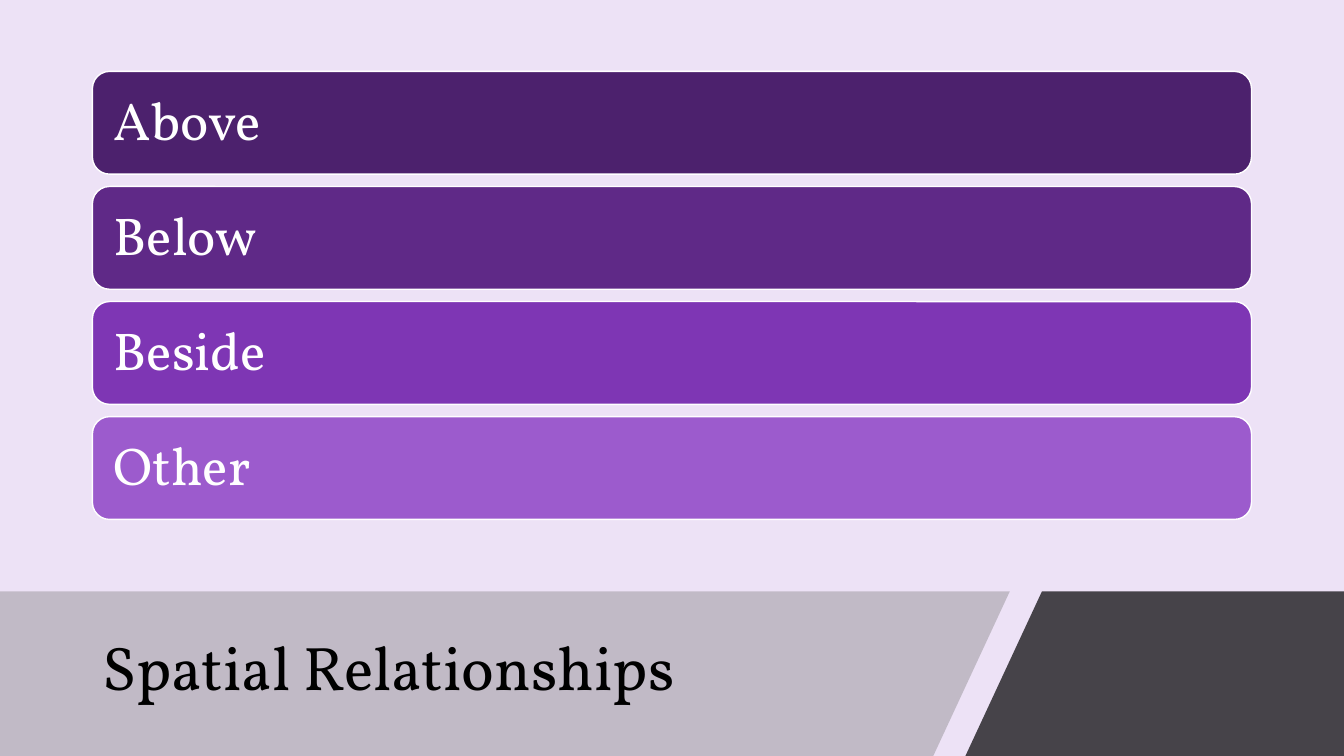
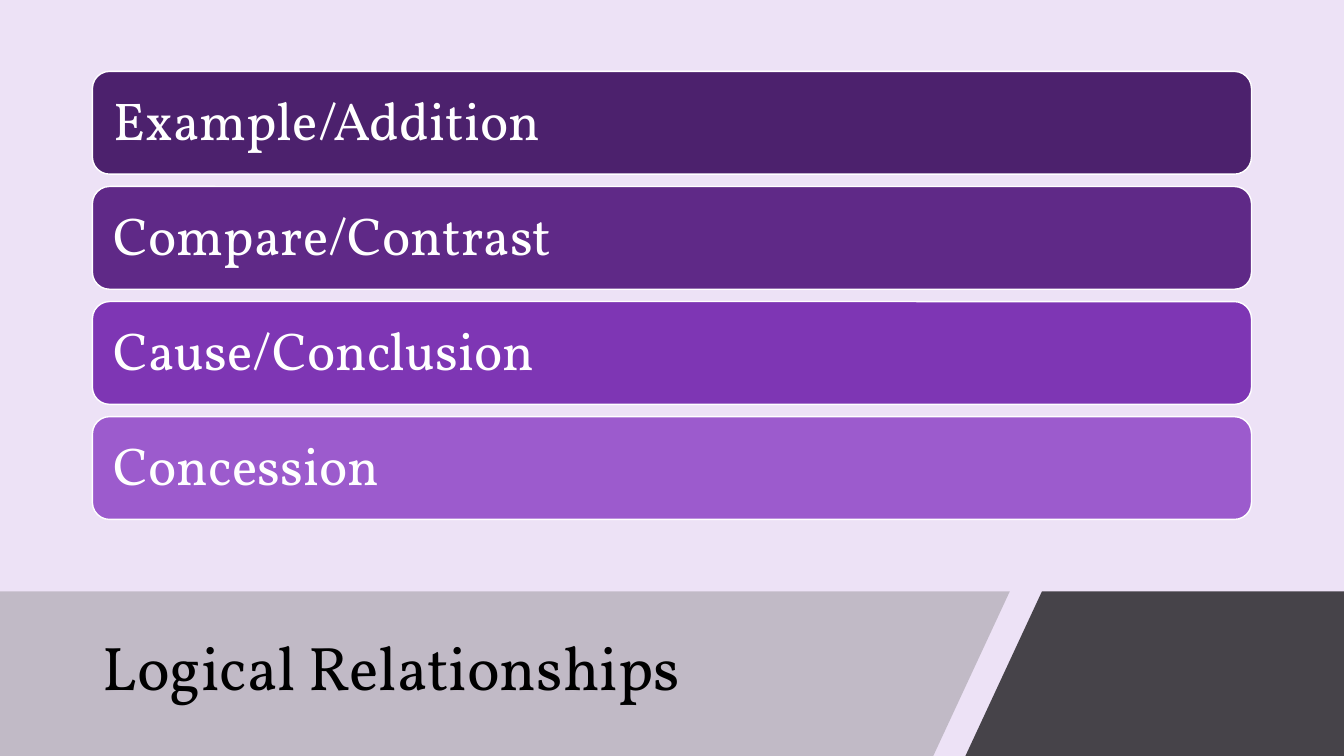
from lxml import etree
from pptx import Presentation
from pptx.dml.color import RGBColor
from pptx.enum.shapes import MSO_SHAPE as Shape
from pptx.enum.text import MSO_ANCHOR as Anchor, MSO_AUTO_SIZE as AutoSize, PP_ALIGN as Align
from pptx.oxml.ns import qn
from pptx.util import Cm, Pt

COLOURS = {
    "background": "EDE2F6",
    "title": "000000",
    "bar text": "FFFFFF",
    "bar outline": "FFFFFF",
    "left band": "808080",
    "right band": "000000",
}
BAR_FILLS = ["4C216D", "5F2987", "7E36B4", "9C5BCD"]
FONT = "Vollkorn"

WIDTH, HEIGHT = 33.87, 19.05
MARGIN = 2.33
BAR_TOP, BAR_HEIGHT, BAR_PITCH = 1.8, 2.59, 2.9
BAND_TOP = 14.9

# Each band: colour name, opacity in percent, corners in centimetres
BANDS = [
    ("left band", 40, [(0, BAND_TOP), (25.45, BAND_TOP), (23.52, HEIGHT), (0, HEIGHT)]),
    ("right band", 70, [(26.26, BAND_TOP), (WIDTH, BAND_TOP), (WIDTH, HEIGHT), (24.33, HEIGHT)]),
]

SLIDES = [
    ("Spatial Relationships", ["Above", "Below", "Beside", "Other"]),
    ("Logical Relationships",
     ["Example/Addition", "Compare/Contrast", "Cause/Conclusion", "Concession"]),
]


def write_line(shape, text, size, colour):
    """Set one left-aligned, vertically centred line of text."""
    frame = shape.text_frame
    frame.text = text
    frame.word_wrap = True
    frame.auto_size = AutoSize.NONE
    frame.vertical_anchor = Anchor.MIDDLE
    paragraph = frame.paragraphs[0]
    paragraph.alignment = Align.LEFT
    paragraph.line_spacing = 0.9
    paragraph.font.name = FONT
    paragraph.font.size = Pt(size)
    paragraph.font.color.rgb = RGBColor.from_string(colour)


def add_band(slide, colour, opacity, corners):
    """Draw a translucent outline-free polygon behind the title."""
    points = [(Cm(x), Cm(y)) for x, y in corners]
    builder = slide.shapes.build_freeform(*points[0])
    builder.add_line_segments(points[1:], close=True)
    band = builder.convert_to_shape()
    band.shadow.inherit = False
    band.line.fill.background()
    band.fill.solid()
    band.fill.fore_color.rgb = RGBColor.from_string(colour)
    colour_element = band._element.spPr.find(qn("a:solidFill"))[0]
    etree.SubElement(colour_element, qn("a:alpha"), val=str(opacity * 1000))
    title_element = slide.shapes.title._element
    title_element.addprevious(band._element)


presentation = Presentation()
presentation.slide_width, presentation.slide_height = Cm(WIDTH), Cm(HEIGHT)
background = presentation.slide_master.background.fill
background.solid()
background.fore_color.rgb = RGBColor.from_string(COLOURS["background"])
title_only = presentation.slide_layouts[5]

for title_text, labels in SLIDES:
    slide = presentation.slides.add_slide(title_only)
    for name, opacity, corners in BANDS:
        add_band(slide, COLOURS[name], opacity, corners)

    title = slide.shapes.title
    title.left, title.top = Cm(MARGIN), Cm(15.37)
    title.width, title.height = Cm(21.44), Cm(3.05)
    write_line(title, title_text, 44, COLOURS["title"])

    for row, (label, fill) in enumerate(zip(labels, BAR_FILLS)):
        bar = slide.shapes.add_shape(
            Shape.ROUNDED_RECTANGLE, Cm(MARGIN), Cm(BAR_TOP + row * BAR_PITCH),
            Cm(WIDTH - 2 * MARGIN), Cm(BAR_HEIGHT))
        bar.shadow.inherit = False
        bar.fill.solid()
        bar.fill.fore_color.rgb = RGBColor.from_string(fill)
        bar.line.color.rgb = RGBColor.from_string(COLOURS["bar outline"])
        bar.line.width = Pt(1)
        write_line(bar, label, 38, COLOURS["bar text"])
        bar.text_frame.margin_left = bar.text_frame.margin_right = Cm(0.41)

presentation.save("out.pptx")
